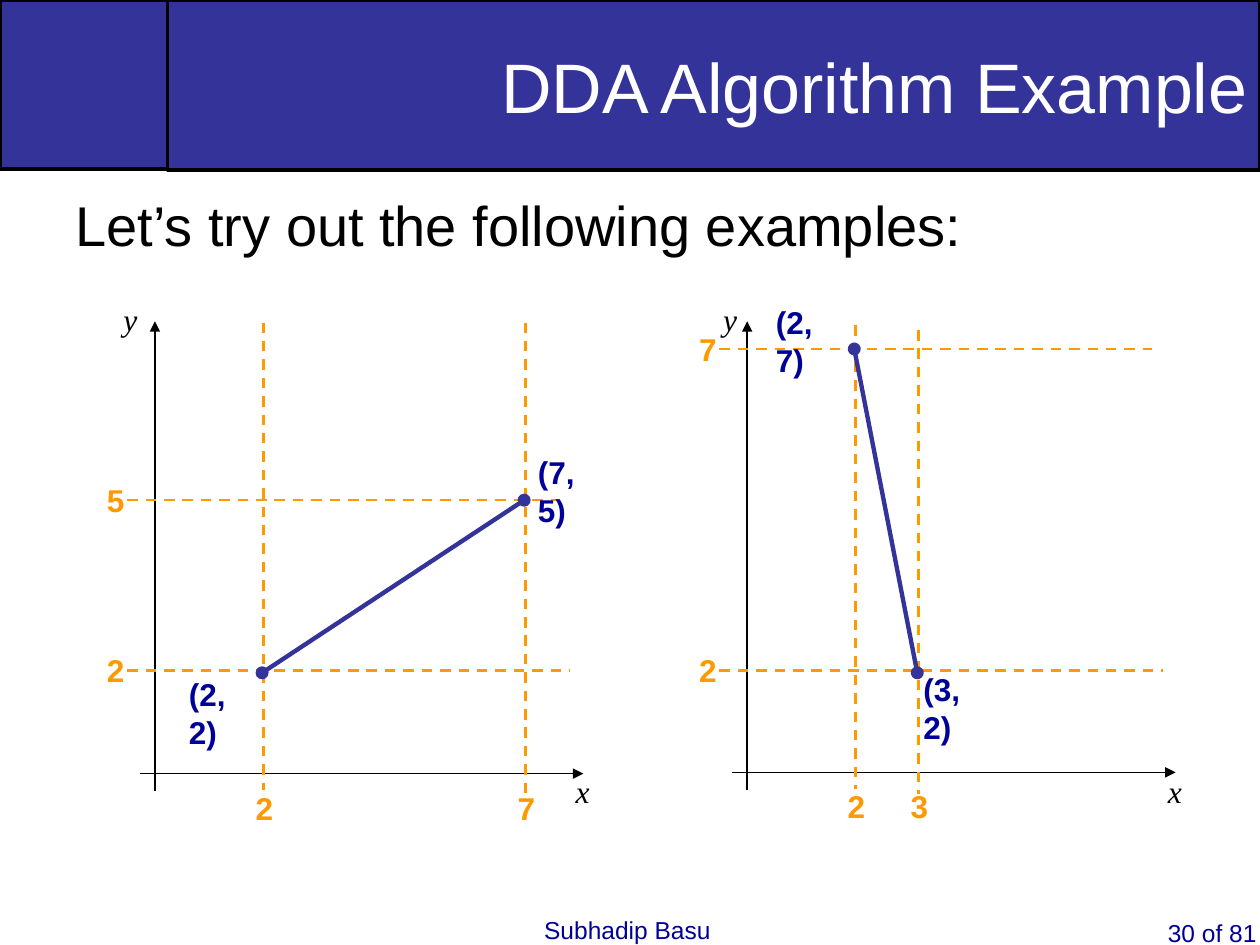
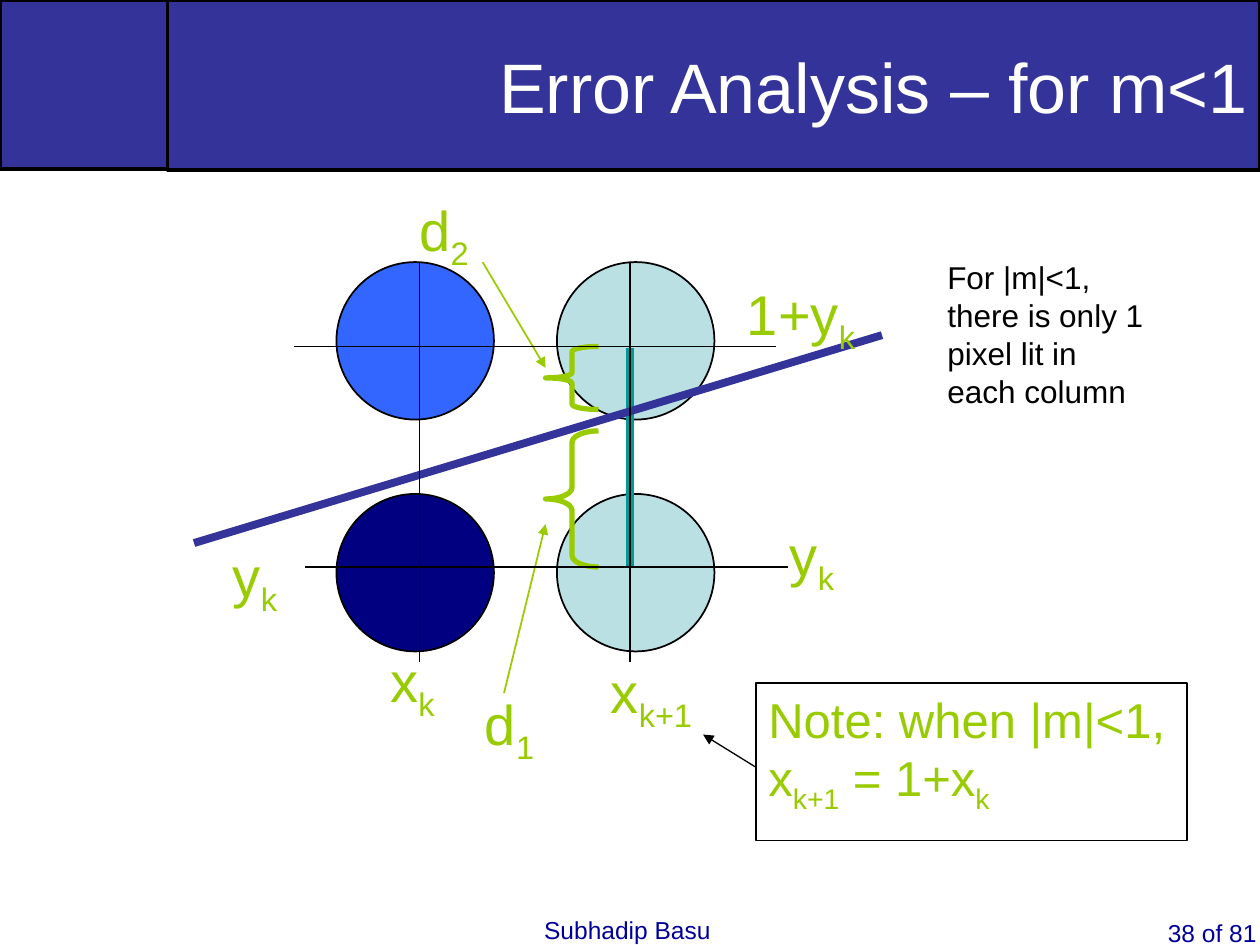
"""Build two slides on line drawing: DDA examples and error analysis."""
from lxml.etree import SubElement
from pptx import Presentation
from pptx.dml.color import RGBColor
from pptx.enum.dml import MSO_LINE
from pptx.enum.shapes import MSO_CONNECTOR, MSO_SHAPE as SHAPE
from pptx.enum.text import MSO_ANCHOR, MSO_AUTO_SIZE, PP_ALIGN
from pptx.oxml.ns import qn
from pptx.util import Pt

PX = 9144
BLACK = RGBColor(0, 0, 0)
WHITE = RGBColor(255, 255, 255)
INDIGO = RGBColor(0x33, 0x33, 0x99)
NAVY = RGBColor(0, 0, 0x99)
DARK = RGBColor(0, 0, 0x80)
BLUE = RGBColor(0x33, 0x66, 0xFF)
PALE = RGBColor(0xBB, 0xE0, 0xE3)
TEAL = RGBColor(0, 0x99, 0x99)
LIME = RGBColor(0x99, 0xCC, 0)
ORANGE = RGBColor(0xFF, 0x99, 0)

FOOT = dict(name="Arial", size=Pt(14), rgb=NAVY)
HEAD = dict(name="Arial", size=Pt(40), rgb=WHITE)
BODY = dict(name="Arial", size=Pt(32), rgb=BLACK)
AXIS = dict(name="Times New Roman", size=Pt(18), italic=True, rgb=BLACK)
TICK = dict(name="Arial", size=Pt(18), bold=True, rgb=ORANGE)
POINT = dict(TICK, rgb=NAVY)
SIDE = dict(name="Arial", size=Pt(18), rgb=BLACK)
SIGN = dict(BODY, rgb=LIME)
NOTE = dict(SIGN, size=Pt(28))


def write(slide, text, box, style, wrap=False, gap=0, frame=None):
    """Write text, with subscripts between tildes, in a new box or a given frame."""
    if frame is None:
        frame = slide.shapes.add_textbox(*[n * PX for n in box]).text_frame
    frame.word_wrap = wrap
    para = frame.paragraphs[0]
    para.space_before = Pt(gap)
    for i, part in enumerate(text.split("~")):
        for j, bit in enumerate(part.split("\n")):
            if j:
                para.add_line_break()
            run = para.add_run()
            run.text = bit
            for key, val in style.items():
                if key == "rgb":
                    run.font.color.rgb = val
                else:
                    setattr(run.font, key, val)
            if i % 2:
                run.font._element.set("baseline", "-25000")
    return para


def draw(slide, ends, color, width, head=None, tail=None, dash=None):
    """Draw a straight line with optional ends and dashes."""
    line = slide.shapes.add_connector(MSO_CONNECTOR.STRAIGHT, *[n * PX for n in ends])
    line.line.color.rgb = color
    line.line.width = Pt(width)
    if dash:
        line.line.dash_style = dash
    for tag, kind in (("a:headEnd", head), ("a:tailEnd", tail)):
        if kind:
            SubElement(line.line._get_or_add_ln(), qn(tag), type=kind)
    SubElement(line._element.spPr, qn("a:effectLst"))


deck = Presentation()
deck.slide_width, deck.slide_height = 1000 * PX, 750 * PX

slides = []
for title, page, layout in (
    ("DDA Algorithm Example", "30 of 81", 1),
    ("Error Analysis – for m<1", "38 of 81", 5),
):
    slide = deck.slides.add_slide(deck.slide_layouts[layout])
    slides.append(slide)
    corner = slide.shapes.add_shape(SHAPE.RECTANGLE, 0, 0, 133 * PX, 134 * PX)
    corner.shadow.inherit = False
    band = slide.shapes.title
    band.left, band.top, band.width, band.height = [n * PX for n in (133, 0, 867, 135)]
    for shape in (corner, band):
        shape.fill.solid()
        shape.fill.fore_color.rgb = INDIGO
        shape.line.color.rgb = BLACK
        shape.line.width = Pt(2)
    band.text_frame.auto_size = MSO_AUTO_SIZE.NONE
    band.text_frame.vertical_anchor = MSO_ANCHOR.MIDDLE
    write(slide, title, None, HEAD, True, 0, band.text_frame).alignment = PP_ALIGN.RIGHT
    write(slide, page, (917, 724, 98, 57), FOOT, True, 8.8)
    write(slide, "Subhadip Basu", (422, 721, 152, 34), FOOT)

dda, error = slides

body = dda.placeholders[1]
body.left, body.top, body.width, body.height = [n * PX for n in (50, 146, 900, 604)]
para = write(dda, "Let’s try out the following examples:", None, BODY, True, 8, body.text_frame)
props = para._p.get_or_add_pPr()
props.set("marL", "0")
props.set("indent", "0")
SubElement(props, qn("a:buNone"))

graphs = (
    (123, 614, 88, (("2", 209, 256, 627), ("7", 417, 256, 630)),
     (("2", 532, 452), ("5", 397, 444)), (208, 534, 416, 397),
     (("(2, 2)", 140, 531), ("(7, 5)", 417, 355))),
    (593, 613, 564, (("2", 679, 258, 626), ("3", 729, 262, 630)),
     (("2", 532, 923), ("7", 277, 914)), (678, 277, 728, 534),
     (("(2, 7)", 606, 236), ("(3, 2)", 723, 527))),
)
for left, base, ylab, cols, rows, slope, points in graphs:
    draw(dda, (left, base + 14, left, 255), BLACK, 1, tail="triangle")
    draw(dda, (left - 12, base, left + 340, base), BLACK, 1, tail="triangle")
    write(dda, "x", (left + 324, 608, 31, 40), AXIS)
    write(dda, "y", (ylab, 233, 31, 40), AXIS)
    for text, y, end in rows:
        draw(dda, (left - 22, y, end, y), ORANGE, 1.5, dash=MSO_LINE.DASH)
        write(dda, text, (left - 48, y - 20, 34, 40), TICK)
    for text, x, top, end in cols:
        draw(dda, (x, top, x, end), ORANGE, 1.5, dash=MSO_LINE.DASH)
        write(dda, text, (x - 16, base + 7, 34, 40), TICK)
    draw(dda, slope, INDIGO, 2.5, "oval", "oval")
    for text, x, y in points:
        write(dda, text, (x, y, 78, 40), POINT)

for x, y, color in ((267, 208, BLUE), (442, 208, PALE), (267, 392, DARK), (442, 392, PALE)):
    pixel = error.shapes.add_shape(SHAPE.OVAL, x * PX, y * PX, 125 * PX, 125 * PX)
    pixel.shadow.inherit = False
    pixel.fill.solid()
    pixel.fill.fore_color.rgb = color
    pixel.line.color.rgb = BLACK
    pixel.line.width = Pt(1)

draw(error, (500, 276, 500, 451), TEAL, 4.5)
draw(error, (154, 431, 700, 266), INDIGO, 4.5)

for y, tall in ((275, 50), (342, 108)):
    brace = error.shapes.add_shape(SHAPE.LEFT_BRACE, 433 * PX, y * PX, 42 * PX, tall * PX)
    brace.adjustments[0] = tall / 42 / 12
    brace.shadow.inherit = False
    brace.fill.background()
    brace.line.color.rgb = LIME
    brace.line.width = Pt(3)

for ends in ((383, 208, 433, 292), (400, 550, 433, 416)):
    draw(error, ends, LIME, 1, tail="triangle")
for x in (333, 500):
    draw(error, (x, 208, x, 525), BLACK, 0.75)
for x, y in ((233, 275), (242, 450)):
    draw(error, (x, y, x + 383, y), BLACK, 0.75)

for text, x, y, wide in (
    ("d~1", 375, 542, 79),
    ("d~2", 323, 150, 69),
    ("x~k", 300, 508, 61),
    ("x~k+1", 475, 517, 92),
    ("y~k", 175, 425, 61),
    ("y~k", 617, 408, 61),
    ("1+y~k", 583, 217, 150),
):
    write(error, text, (x, y, wide, 71), SIGN, True)

write(error, "Note: when |m|<1, \nx~k+1~ = 1+x~k", (600, 542, 375, 110), NOTE, True)
border = error.shapes.add_shape(SHAPE.RECTANGLE, 600 * PX, 542 * PX, 342 * PX, 125 * PX)
border.shadow.inherit = False
border.fill.background()
border.line.color.rgb = BLACK
border.line.width = Pt(0.75)
draw(error, (600, 609, 558, 583), BLACK, 0.75, tail="triangle")
write(error, "For |m|<1, there is only 1 pixel lit in each column", (742, 200, 183, 130), SIDE, True, 11.2)

deck.save("out.pptx")
